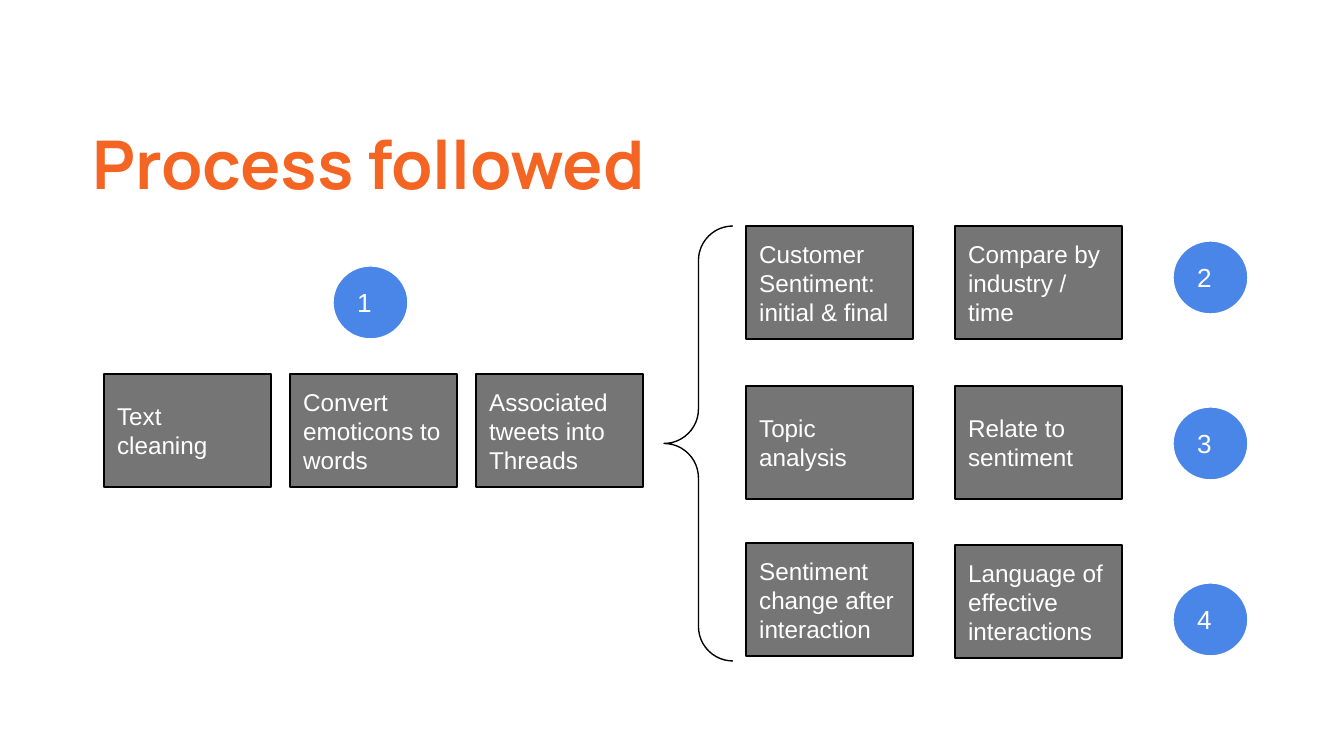
from pptx import Presentation, util as u
from pptx.dml.color import RGBColor
from pptx.enum import shapes, text

SLIDE_WIDTH, SLIDE_HEIGHT = 1344, 756
EMU_PER_PX = u.Inches(10) / SLIDE_WIDTH
COLORS = {
    "title": "F46524",
    "step": "757575",
    "badge": "4A86E8",
    "outline": "000000",
    "light": "FFFFFF",
}
INSET = u.Inches(0.1)
STEP_SIZE = (167, 113)
BADGE_SIZE = (75, 73)

PREPARATION = ["Text cleaning", "Convert emoticons to words", "Associated tweets into Threads"]
PREPARATION_LEFT, PREPARATION_TOP, PREPARATION_PITCH = 104, 374, 186
ANALYSIS_LEFT, OUTCOME_LEFT, BADGE_LEFT = 746, 955, 1173
BRANCHES = [
    ("2", 241, "Customer Sentiment: initial & final", 226, "Compare by industry / time", 226),
    ("3", 407, "Topic analysis", 386, "Relate to sentiment", 386),
    ("4", 583, "Sentiment change after interaction", 543, "Language of effective interactions", 545),
]


def px(length):
    """Turn pixels into EMU."""
    return u.Emu(round(length * EMU_PER_PX))


def color(name):
    """Look up a named colour."""
    return RGBColor.from_string(COLORS[name])


def write(shape, words, *, size, fill="light", font="Arial", bold=False,
          anchor=text.MSO_ANCHOR.MIDDLE, spacing=1.0):
    """Put one left-aligned paragraph into a shape."""
    frame = shape.text_frame
    frame.word_wrap = True
    frame.vertical_anchor = anchor
    frame.margin_left = frame.margin_right = INSET
    frame.margin_top = frame.margin_bottom = INSET
    para = frame.paragraphs[0]
    para.alignment = text.PP_ALIGN.LEFT
    para.line_spacing = spacing
    span = para.add_run()
    span.text = words
    span.font.size = u.Pt(size)
    span.font.name = font
    span.font.bold = bold
    span.font.color.rgb = color(fill)


def add_figure(page, kind, left, top, width, height, *, fill=None, line="outline"):
    """Add a preset shape with a thin outline and no shadow."""
    figure = page.shapes.add_shape(kind, px(left), px(top), px(width), px(height))
    figure.shadow.inherit = False
    if fill:
        figure.fill.solid()
        figure.fill.fore_color.rgb = color(fill)
    else:
        figure.fill.background()
    figure.line.color.rgb = color(line)
    figure.line.width = u.Pt(0.75)
    return figure


def add_title(page, words):
    """Add the slide title."""
    box = page.shapes.add_textbox(px(79), px(105), px(763), px(113))
    write(box, words, size=36, fill="title", font="Manrope", bold=True,
          anchor=text.MSO_ANCHOR.BOTTOM, spacing=0.9)


def add_step(page, words, left, top):
    """Add a grey process step."""
    step = add_figure(page, shapes.MSO_SHAPE.RECTANGLE, left, top, *STEP_SIZE, fill="step")
    write(step, words, size=13)


def add_badge(page, number, left, top):
    """Add a numbered blue circle."""
    badge = add_figure(page, shapes.MSO_SHAPE.OVAL, left, top, *BADGE_SIZE,
                       fill="badge", line="light")
    write(badge, number, size=14)


def add_brace(page):
    """Add the brace that opens into the three branches."""
    brace = add_figure(page, shapes.MSO_SHAPE.LEFT_BRACE, 664, 226, 69, 435)
    brace.adjustments[0] = 0.5
    brace.adjustments[1] = 0.5


def main():
    """Build and save the process slide."""
    deck = Presentation()
    deck.slide_width, deck.slide_height = px(SLIDE_WIDTH), px(SLIDE_HEIGHT)
    page = deck.slides.add_slide(deck.slide_layouts[6])
    add_title(page, "Process followed")
    for index, words in enumerate(PREPARATION):
        add_step(page, words, PREPARATION_LEFT + index * PREPARATION_PITCH, PREPARATION_TOP)
    add_badge(page, "1", 333, 266)
    add_brace(page)
    for number, badge_top, analysis, analysis_top, outcome, outcome_top in BRANCHES:
        add_step(page, analysis, ANALYSIS_LEFT, analysis_top)
        add_step(page, outcome, OUTCOME_LEFT, outcome_top)
        add_badge(page, number, BADGE_LEFT, badge_top)
    deck.save("out.pptx")


if __name__ == "__main__":
    main()
